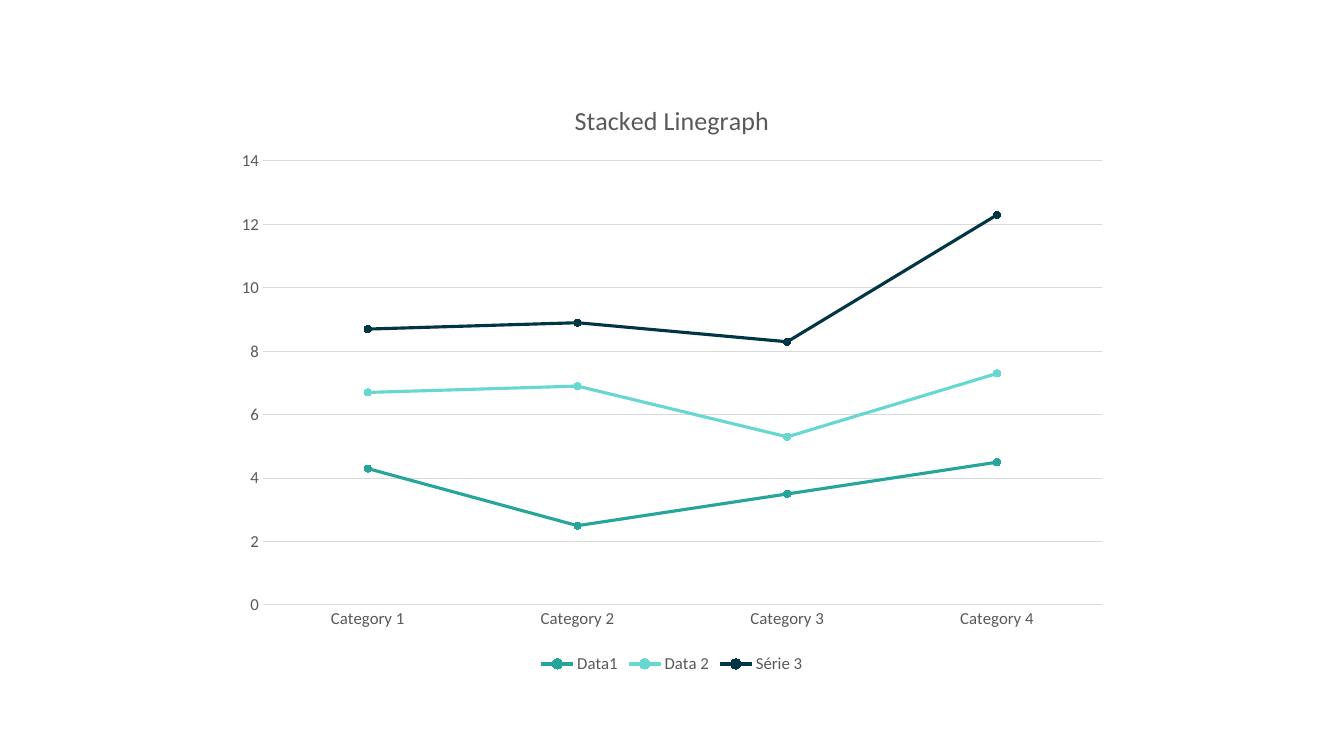
from pptx import Presentation
from pptx.chart.data import CategoryChartData as Data
from pptx.dml.color import RGBColor as RGB
from pptx.enum.chart import XL_CHART_TYPE as Kind, XL_LEGEND_POSITION as Place
from pptx.enum.chart import XL_MARKER_STYLE as Mark, XL_TICK_MARK as Tick
from pptx.oxml import parse_xml
from pptx.oxml.ns import nsdecls, qn
from pptx.util import Pt

TITLE = "Stacked Linegraph"
CATS = ["Category 1", "Category 2", "Category 3", "Category 4"]
SERIES = [
    ("Data1", (4.3, 2.5, 3.5, 4.5), "teal"),
    ("Data 2", (2.4, 4.4, 1.8, 2.8), "aqua"),
    ("Série 3", (2, 2, 3, 5), "navy"),
]
HEX = {"teal": "26A69A", "aqua": "66D7D1", "navy": "003546",
       "text": "595959", "grid": "D9D9D9"}
FONT = "Calibri"
PX = 914400 / 100.8
SLIDE = (1344, 756)
CHART = (224, 80, 896, 598)
PLOT = (263, 161, 839, 444)


def emu(*sizes):
    return [round(size * PX) for size in sizes]


def color(name):
    return RGB.from_string(HEX[name])


def style(font, size=12, bold=False, ink="text"):
    font.name, font.size, font.bold = FONT, Pt(size), bold
    font.color.rgb = color(ink)


def write(frame, text, **look):
    para = frame.paragraphs[0]
    run = para.add_run()
    run.text = text
    style(run.font, **look)


def stroke(line, ink, width):
    line.color.rgb = color(ink)
    line.width = Pt(width)


def pin(chart):
    left, top, wide, high = CHART
    x, y, w, h = PLOT
    parts = {"x": (x - left) / wide, "y": (y - top) / high,
             "w": w / wide, "h": h / high}
    body = '<c:layoutTarget val="inner"/><c:xMode val="edge"/><c:yMode val="edge"/>'
    body += "".join(f'<c:{key} val="{val:.4f}"/>' for key, val in parts.items())
    area = chart.element.find(".//" + qn("c:plotArea"))
    for old in area.findall(qn("c:layout")):
        area.remove(old)
    area.insert(0, parse_xml(
        f'<c:layout {nsdecls("c")}><c:manualLayout>{body}</c:manualLayout></c:layout>'))


deck = Presentation()
deck.slide_width, deck.slide_height = emu(*SLIDE)
slide = deck.slides.add_slide(deck.slide_layouts[6])

data = Data()
data.categories = CATS
for name, vals, ink in SERIES:
    data.add_series(name, vals)
chart = slide.shapes.add_chart(Kind.LINE_MARKERS_STACKED, *emu(*CHART), data).chart
style(chart.font)
chart.has_title = True
write(chart.chart_title.text_frame, TITLE, size=18.6)
chart.chart_title.include_in_layout = False
chart.has_legend = True
chart.legend.position = Place.BOTTOM
chart.legend.include_in_layout = False
style(chart.legend.font)

for axis in (chart.category_axis, chart.value_axis):
    axis.major_tick_mark = axis.minor_tick_mark = Tick.NONE
    style(axis.tick_labels.font)
stroke(chart.category_axis.format.line, "grid", 0.75)
scale = chart.value_axis
scale.minimum_scale, scale.maximum_scale, scale.major_unit = 0, 14, 2
scale.format.line.fill.background()
scale.has_major_gridlines = True
stroke(scale.major_gridlines.format.line, "grid", 0.75)

chart.plots[0].vary_by_categories = False
for row, (name, vals, ink) in zip(chart.plots[0].series, SERIES):
    row.smooth = False
    stroke(row.format.line, ink, 2.25)
    row.marker.style, row.marker.size = Mark.CIRCLE, 5
    row.marker.format.fill.solid()
    row.marker.format.fill.fore_color.rgb = color(ink)
    stroke(row.marker.format.line, ink, 0.75)

pin(chart)
deck.save("out.pptx")
